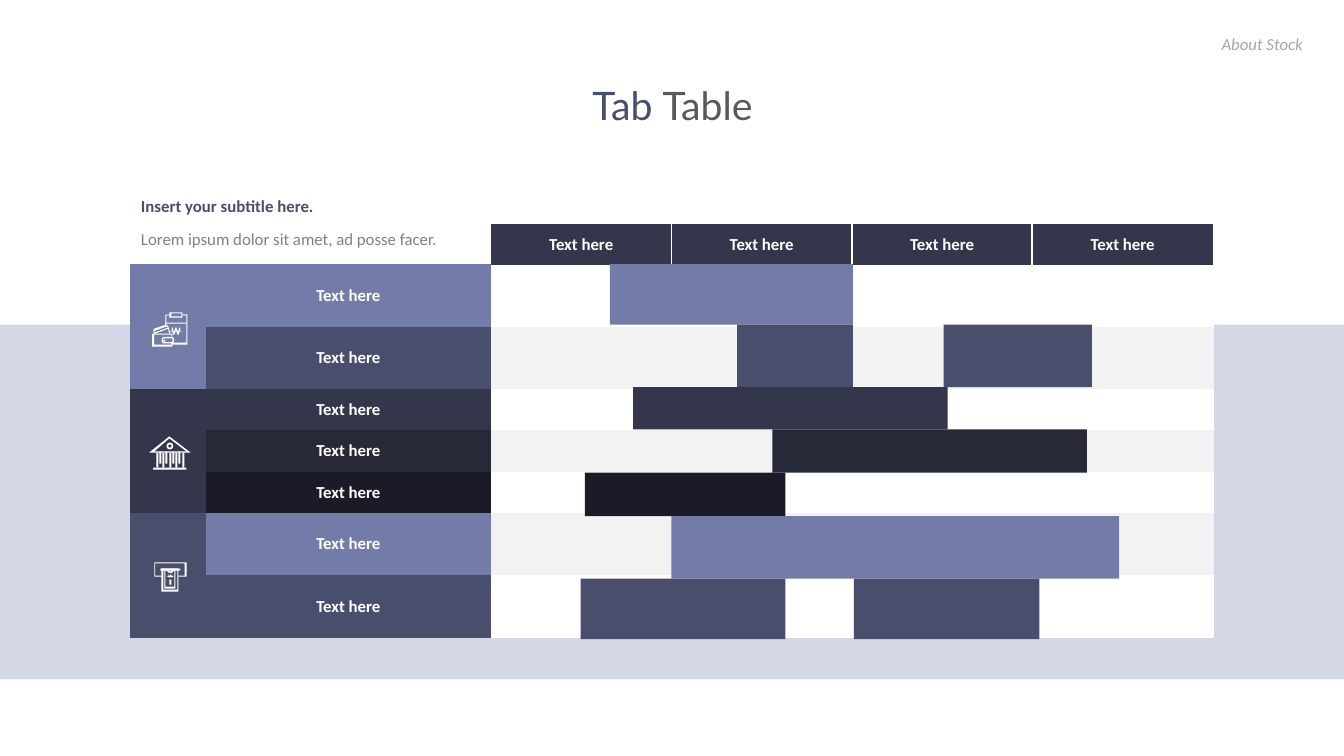
from itertools import accumulate
from math import cos, pi, sin

from lxml.etree import SubElement
from pptx import Presentation
from pptx.dml.color import RGBColor
from pptx.enum.shapes import MSO_SHAPE as Preset
from pptx.enum.text import MSO_ANCHOR as Anchor, MSO_AUTO_SIZE as AutoSize, PP_ALIGN as Align
from pptx.oxml.ns import qn
from pptx.util import Inches, Pt

WHITE, GREY = "FFFFFF", "F2F2F2"
LILAC, SLATE, NAVY, DARK, BLACK = "737BA9", "494E6C", "34374C", "272939", "1A1B26"
ROW_COLOURS = [LILAC, SLATE, NAVY, DARK, BLACK, LILAC, SLATE]
ROW_HEIGHTS = [0.62, 0.62, 0.41, 0.41, 0.41, 0.62, 0.62]
BAR_HEIGHTS = [0.6, 0.62, 0.42, 0.43, 0.43, 0.62, 0.6]
BARS = [(0, 1.18, 2.41), (1, 2.44, 1.15), (1, 4.49, 1.47), (2, 1.41, 3.12), (3, 2.79, 3.12),
        (4, 0.93, 1.99), (5, 1.79, 4.44), (6, 0.89, 2.03), (6, 3.6, 1.84)]
TAB_GROUPS = [(0, 1, LILAC), (2, 4, NAVY), (5, 6, SLATE)]
CELL_FONT = {"name": "Calibri", "size": Pt(12), "bold": True}


def paint(fill, colour):
    """Give a fill a solid hex colour."""
    fill.solid()
    fill.fore_color.rgb = RGBColor.from_string(colour)


def style(font, colour, values):
    """Set a font's colour and its format values."""
    for key, value in values.items():
        setattr(font, key, value)
    font.color.rgb = RGBColor.from_string(colour)


def block(shapes, left, top, width, height, colour=WHITE, preset=Preset.RECTANGLE, stroke=None):
    """Add a filled shape, or a white outline when a stroke is given."""
    shape = shapes.add_shape(preset, Inches(left), Inches(top), Inches(width), Inches(height))
    shape.shadow.inherit = False
    if stroke:
        shape.fill.background()
        paint(shape.line.fill, colour)
        shape.line.width = Pt(stroke)
    else:
        paint(shape.fill, colour)
        shape.line.fill.background()
    return shape


def outline(shapes, left, top, *contours):
    """Add a white freeform whose contours are offsets from a corner."""
    scaled = [[(Inches(left + x), Inches(top + y)) for x, y in points] for points in contours]
    builder = shapes.build_freeform(*scaled[0][0], scale=1.0)
    builder.add_line_segments(scaled[0][1:], close=True)
    for points in scaled[1:]:
        builder.move_to(*points[0])
        builder.add_line_segments(points[1:], close=True)
    shape = builder.convert_to_shape()
    shape.shadow.inherit = False
    paint(shape.fill, WHITE)
    shape.line.fill.background()


def corners(left, top, width, height):
    """Return the four corners of a rectangle."""
    return [(left, top), (left + width, top), (left + width, top + height), (left, top + height)]


def won_sign(shapes, left, top, width, height):
    """Draw a won sign in the given box."""
    letter = [(0, 0), (0.15, 0), (0.28, 0.75), (0.43, 0), (0.57, 0), (0.72, 0.75), (0.85, 0),
              (1, 0), (0.8, 1), (0.66, 1), (0.5, 0.3), (0.34, 1), (0.2, 1)]
    outline(shapes, left, top, [(x * width, y * height) for x, y in letter])
    block(shapes, left - 0.01, top + height * 0.45, width + 0.02, 0.01)


def bank_icon(shapes, left, top):
    """Draw a bank front from its top left corner."""
    outline(shapes, left, top, [(0, 0.16), (0.2, 0), (0.41, 0.16)],
            [(0.05, 0.15), (0.2, 0.02), (0.37, 0.15)])
    block(shapes, left + 0.04, top + 0.31, 0.33, 0.02)
    for x in (0.07, 0.13, 0.2, 0.26, 0.33):
        block(shapes, left + x, top + 0.16, 0.02, 0.15)
    for x in (0.1, 0.16, 0.23, 0.29):
        block(shapes, left + x, top + 0.15, 0.02, 0.12)
    block(shapes, left + 0.18, top + 0.07, 0.05, 0.05, preset=Preset.OVAL, stroke=1.25)


def cash_icon(shapes, left, top):
    """Draw a cash slot with a banknote from its top left corner."""
    outline(shapes, left, top, [
        (0, 0), (0.32, 0), (0.32, 0.14), (0.24, 0.14), (0.24, 0.13), (0.3, 0.13), (0.3, 0.01),
        (0.01, 0.01), (0.01, 0.13), (0.08, 0.13), (0.08, 0.14), (0, 0.14)])
    block(shapes, left + 0.06, top + 0.06, 0.2, 0.02)
    outline(shapes, left, top, corners(0.07, 0.06, 0.17, 0.23), corners(0.09, 0.08, 0.14, 0.19))
    outline(shapes, left, top, [(0.1, 0.07), (0.11, 0.07), (0.11, 0.24), (0.2, 0.24),
                                (0.2, 0.07), (0.21, 0.07), (0.21, 0.26), (0.1, 0.26)])
    won_sign(shapes, left + 0.14, top + 0.12, 0.04, 0.03)
    block(shapes, left + 0.15, top + 0.17, 0.02, 0.05)
    turns = [step * pi / 8 for step in range(9)]
    arc = [(0.035, turns), (0.02, turns[::-1])]
    outline(shapes, left + 0.16, top + 0.07,
            [(radius * cos(turn), radius * sin(turn)) for radius, side in arc for turn in side])


def wallet_icon(shapes, left, top):
    """Draw a wallet and a clipboard from the top left corner."""
    outline(shapes, left, top, [(0.13, 0.02), (0.18, 0.02), (0.18, 0.03), (0.14, 0.03),
                                (0.14, 0.13), (0.13, 0.13)])
    outline(shapes, left, top, [(0.3, 0.02), (0.35, 0.02), (0.35, 0.32), (0.19, 0.32),
                                (0.19, 0.3), (0.34, 0.3), (0.34, 0.03), (0.3, 0.03)])
    won_sign(shapes, left + 0.19, top + 0.15, 0.09, 0.07)
    block(shapes, left + 0.13, top + 0.1, 0.21, 0.01)
    outline(shapes, left, top, corners(0.17, 0, 0.13, 0.05), corners(0.19, 0.01, 0.1, 0.03))
    outline(shapes, left, top, [
        (0.17, 0.21), (0.15, 0.14), (0.14, 0.14), (0.03, 0.18), (0.02, 0.19), (0.03, 0.21),
        (0.02, 0.21), (0.01, 0.18), (0.02, 0.16), (0.14, 0.12), (0.16, 0.14), (0.18, 0.21)])
    outline(shapes, left, top, [(0.02, 0.2), (0.16, 0.15), (0.16, 0.16), (0.03, 0.21)])
    outline(shapes, left, top, [
        (0, 0.21), (0.2, 0.21), (0.2, 0.24), (0.19, 0.24), (0.19, 0.22), (0.02, 0.22),
        (0.02, 0.32), (0.19, 0.32), (0.19, 0.3), (0.2, 0.3), (0.2, 0.34), (0, 0.34)])
    clasp = block(shapes, left + 0.1, top + 0.25, 0.11, 0.05, preset=Preset.ROUNDED_RECTANGLE, stroke=1)
    clasp.adjustments[0] = 0.4
    block(shapes, left + 0.11, top + 0.27, 0.02, 0.02, preset=Preset.OVAL)


def plain_table(shapes, left, top, widths, heights):
    """Add a table without style and size its columns and rows."""
    frame = shapes.add_table(len(heights), len(widths), Inches(left), Inches(top),
                             Inches(sum(widths)), Inches(sum(heights)))
    table = frame.table
    table.first_row = table.horz_banding = False
    table._tbl.tblPr.find(qn("a:tableStyleId")).text = "{2D5ABB26-0587-4C30-8999-92F81FD0307C}"
    for column, width in zip(table.columns, widths):
        column.width = Inches(width)
    for row, height in zip(table.rows, heights):
        row.height = Inches(height)
    return table


def label(cell, colour, space_after=0):
    """Write the centred label of a cell on its colour."""
    paint(cell.fill, colour)
    cell.vertical_anchor = Anchor.MIDDLE
    paragraph = cell.text_frame.paragraphs[0]
    paragraph.alignment = Align.CENTER
    paragraph.space_after = Pt(space_after)
    run = paragraph.add_run()
    run.text = "Text here"
    style(run.font, WHITE, CELL_FONT)


def tab_table(shapes, left, top):
    """Draw the grouped rows of the table."""
    table = plain_table(shapes, left, top, [0.75, 2.83, 7.17], ROW_HEIGHTS)
    for row, colour in enumerate(ROW_COLOURS):
        label(table.cell(row, 1), colour, space_after=2)
        paint(table.cell(row, 2).fill, GREY if row % 2 else WHITE)
    for first, last, colour in TAB_GROUPS:
        for row in range(first, last + 1):
            paint(table.cell(row, 0).fill, colour)
        table.cell(first, 0).merge(table.cell(last, 0))


def header_table(shapes, left, top):
    """Draw the column heads with white dividers."""
    table = plain_table(shapes, left, top, [1.79] * 4, [0.41])
    for column in range(4):
        cell = table.cell(0, column)
        label(cell, NAVY)
        sides = [side for side, shown in (("lnL", column > 0), ("lnR", column < 3)) if shown]
        for place, side in enumerate(sides):
            border = SubElement(cell._tc.tcPr, qn("a:" + side), w=str(Pt(1.5)))
            SubElement(SubElement(border, qn("a:solidFill")), qn("a:srgbClr"), val=WHITE)
            cell._tc.tcPr.insert(place, border)


def schedule(shapes, left, top):
    """Draw the bars over the rows."""
    tops = list(accumulate(BAR_HEIGHTS, initial=top))
    for row, start, width in BARS:
        block(shapes, left + start, tops[row], width, BAR_HEIGHTS[row], ROW_COLOURS[row])


def caption(shapes, left, top, text, colour, align=Align.LEFT, **values):
    """Add a one-line text."""
    box = shapes.add_textbox(Inches(left), Inches(top), Inches(4.18), Inches(0.33))
    frame = box.text_frame
    frame.word_wrap = True
    frame.auto_size = AutoSize.SHAPE_TO_FIT_TEXT
    paragraph = frame.paragraphs[0]
    paragraph.alignment, paragraph.line_spacing = align, 1.2
    run = paragraph.add_run()
    run.text = text
    style(run.font, colour, {"name": "Calibri", "size": Pt(12), **values})


def heading(title, left, top, width, height):
    """Place the title and write it in two colours."""
    title.left, title.top, title.width, title.height = map(Inches, (left, top, width, height))
    title.text_frame.vertical_anchor = Anchor.TOP
    paragraph = title.text_frame.paragraphs[0]
    paragraph.alignment = Align.CENTER
    for text, colour in (("Tab ", SLATE), ("Table", "595959")):
        run = paragraph.add_run()
        run.text = text
        style(run.font, colour, {"name": "Lato", "size": Pt(28)})


def main():
    """Build and save the slide."""
    deck = Presentation()
    deck.slide_width, deck.slide_height = Inches(13.33), Inches(7.5)
    shapes = deck.slides.add_slide(deck.slide_layouts[5]).shapes
    band = block(shapes, 0, 3.22, 13.33, 3.52, LILAC)
    tint = band._element.spPr.find(qn("a:solidFill")).find(qn("a:srgbClr"))
    SubElement(tint, qn("a:alpha"), val="30000")
    heading(shapes.title, 0.92, 0.76, 11.5, 1.13)
    tab_table(shapes, 1.29, 2.62)
    header_table(shapes, 4.87, 2.22)
    schedule(shapes, 4.87, 2.62)
    for icon, left, top in ((bank_icon, 1.48, 4.33), (cash_icon, 1.53, 5.58), (wallet_icon, 1.51, 3.1)):
        icon(shapes.add_group_shape().shapes, left, top)
    caption(shapes, 1.3, 2.18, "Lorem ipsum dolor sit amet, ad posse facer.", "808080")
    caption(shapes, 1.3, 1.85, "Insert your subtitle here.", SLATE, bold=True)
    caption(shapes, 8.84, 0.25, "About Stock", "A6A6A6", Align.RIGHT, italic=True)
    deck.save("out.pptx")


if __name__ == "__main__":
    main()
